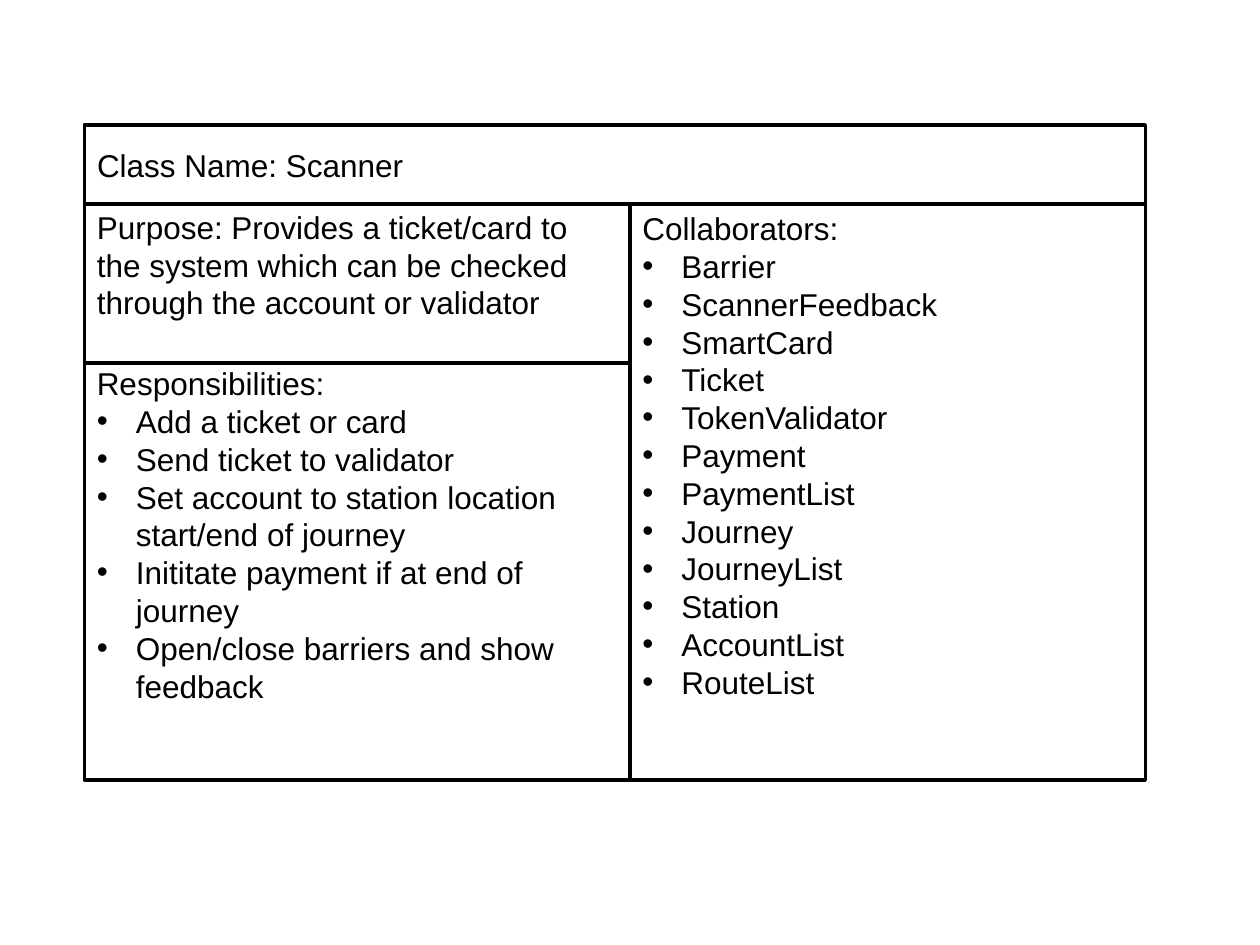
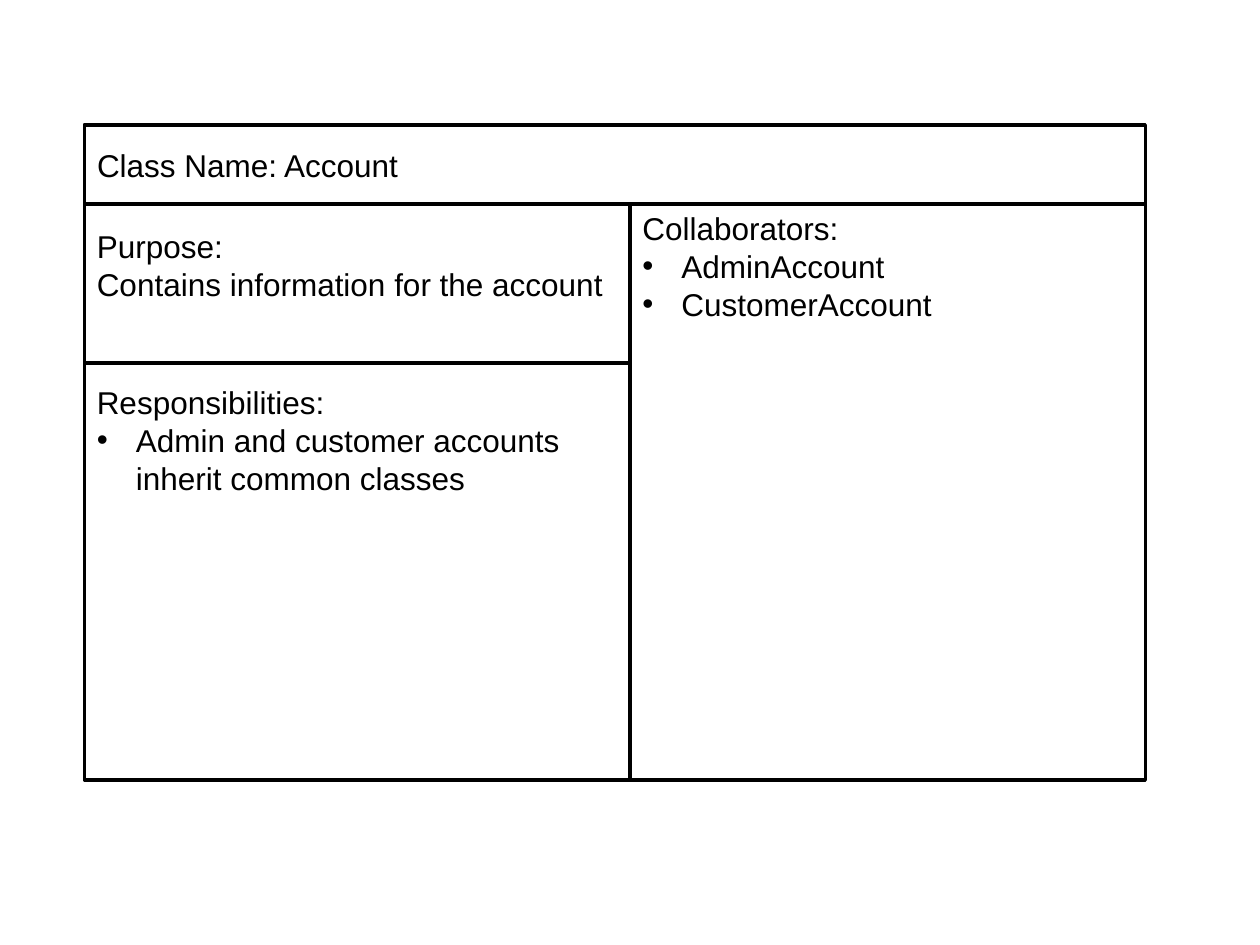
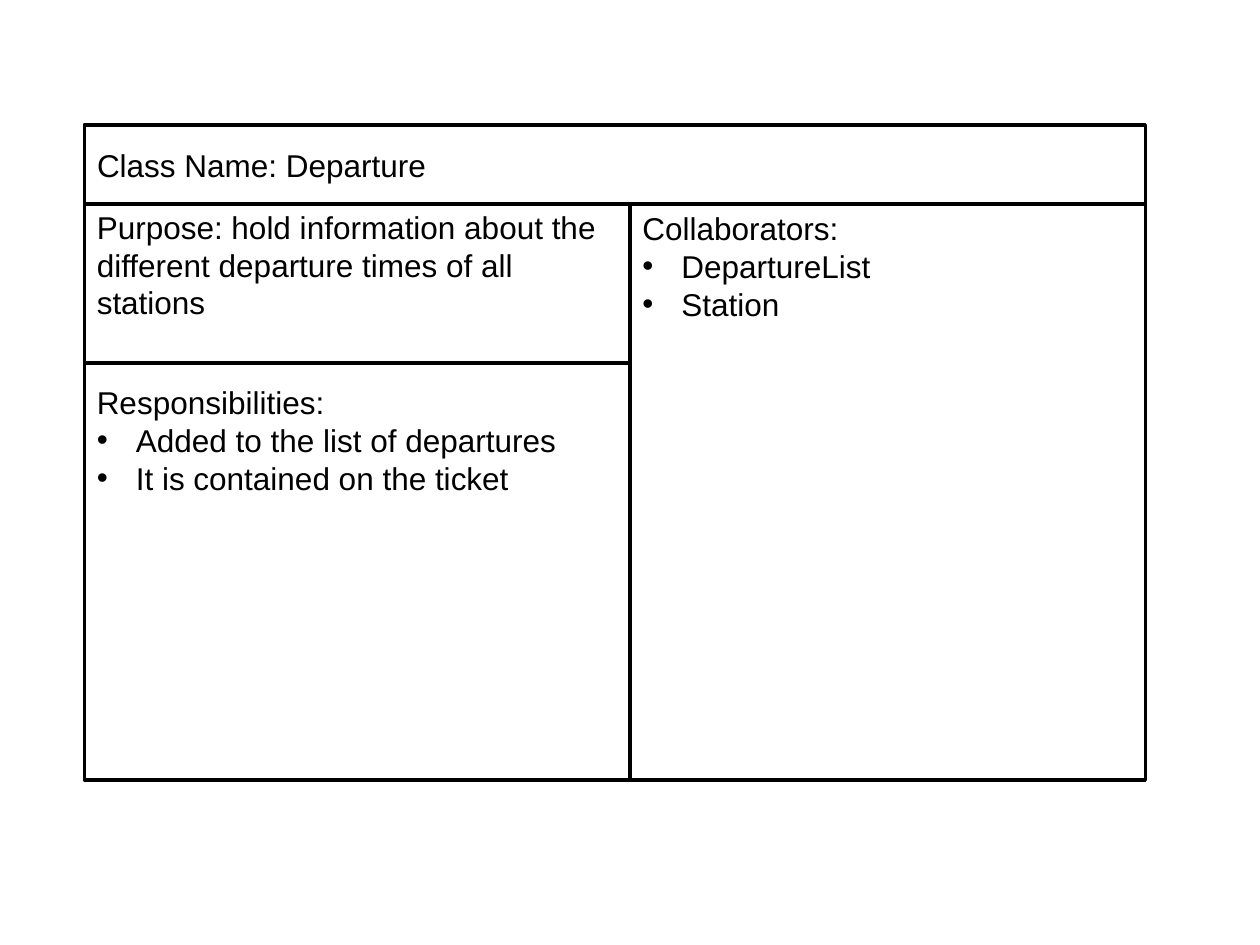
from dataclasses import dataclass

from lxml import etree
from pptx import Presentation
from pptx.dml.color import RGBColor
from pptx.enum import shapes, text
from pptx.oxml import ns
from pptx.util import Inches, Pt

FONT = "Arial"
TEXT_SIZE = Pt(18)
LINE_SPACING = Pt(21.6)
INK = "000000"
PAPER = "FFFFFF"
CARD_BOX = (0.67, 0.99, 8.42, 5.2)
NAME_HEIGHT = 0.63
PURPOSE_HEIGHT = 1.26
LEFT_WIDTH = 4.33
BULLET_INDENT = 0.31


@dataclass
class Card:
    name: str
    purpose: list
    responsibilities: list
    collaborators: list
    purpose_inset: float = 0.03
    responsibilities_inset: float = 0.16


CARDS = [
    Card(
        "Scanner",
        ["Purpose: Provides a ticket/card to the system which can be checked "
         "through the account or validator"],
        ["Add a ticket or card", "Send ticket to validator",
         "Set account to station location start/end of journey",
         "Inititate payment if at end of journey",
         "Open/close barriers and show feedback"],
        ["Barrier", "ScannerFeedback", "SmartCard", "Ticket", "TokenValidator",
         "Payment", "PaymentList", "Journey", "JourneyList", "Station",
         "AccountList", "RouteList"],
        responsibilities_inset=0.01,
    ),
    Card(
        "Account",
        ["Purpose:", "Contains information for the account"],
        ["Admin and customer accounts inherit common classes"],
        ["AdminAccount", "CustomerAccount"],
        purpose_inset=0.18,
    ),
    Card(
        "Departure",
        ["Purpose: hold information about the different departure times of all stations"],
        ["Added to the list of departures", "It is contained on the ticket"],
        ["DepartureList", "Station"],
    ),
]


def color(value):
    return RGBColor.from_string(value)


def add_bullet(paragraph):
    properties = paragraph._p.get_or_add_pPr()
    properties.set("marL", str(Inches(BULLET_INDENT)))
    properties.set("indent", str(-Inches(BULLET_INDENT)))
    bullet_color = etree.SubElement(properties, ns.qn("a:buClr"))
    etree.SubElement(bullet_color, ns.qn("a:srgbClr"), val=INK)
    etree.SubElement(properties, ns.qn("a:buFont"), typeface=FONT)
    etree.SubElement(properties, ns.qn("a:buChar"), char="•")


def format_cell(shape, lines, bullets=(), top_inset=0.05, anchor=text.MSO_ANCHOR.TOP):
    """Outline a cell and fill it with plain lines followed by bullets."""
    shape.fill.solid()
    shape.fill.fore_color.rgb = color(PAPER)
    shape.line.color.rgb = color(INK)
    shape.line.width = Pt(2)

    frame = shape.text_frame
    frame.word_wrap = True
    frame.auto_size = text.MSO_AUTO_SIZE.NONE
    frame.vertical_anchor = anchor
    frame.margin_left = frame.margin_right = Inches(0.1)
    frame.margin_top = Inches(top_inset)
    frame.margin_bottom = Inches(0 if anchor == text.MSO_ANCHOR.TOP else 0.05)
    frame.text = "\n".join([*lines, *bullets])
    for index, paragraph in enumerate(frame.paragraphs):
        if index >= len(lines):
            add_bullet(paragraph)
        paragraph.alignment = text.PP_ALIGN.LEFT
        paragraph.line_spacing = LINE_SPACING
        paragraph.font.name = FONT
        paragraph.font.size = TEXT_SIZE
        paragraph.font.color.rgb = color(INK)


def add_cell(slide, box, lines, bullets, top_inset):
    shape = slide.shapes.add_shape(shapes.MSO_SHAPE.RECTANGLE, *map(Inches, box))
    shape.shadow.inherit = False
    format_cell(shape, lines, bullets, top_inset)


def place_class_name(title, box, name):
    title.left, title.top, title.width, title.height = map(Inches, box)
    format_cell(title, [f"Class Name: {name}"], anchor=text.MSO_ANCHOR.MIDDLE)


def add_card(slide, box, card):
    left, top, width, height = box
    body_top = top + NAME_HEIGHT
    body_height = height - NAME_HEIGHT
    place_class_name(slide.shapes.title, (left, top, width, NAME_HEIGHT), card.name)
    add_cell(slide, (left, body_top, LEFT_WIDTH, PURPOSE_HEIGHT),
             card.purpose, [], card.purpose_inset)
    add_cell(slide, (left, body_top + PURPOSE_HEIGHT, LEFT_WIDTH, body_height - PURPOSE_HEIGHT),
             ["Responsibilities:"], card.responsibilities, card.responsibilities_inset)
    add_cell(slide, (left + LEFT_WIDTH, body_top, width - LEFT_WIDTH, body_height),
             ["Collaborators:"], card.collaborators, 0.04)


def main():
    presentation = Presentation()
    presentation.slide_width = Inches(10)
    presentation.slide_height = Inches(7.5)
    title_only = presentation.slide_layouts.get_by_name("Title Only")
    for card in CARDS:
        add_card(presentation.slides.add_slide(title_only), CARD_BOX, card)
    presentation.save("out.pptx")


if __name__ == "__main__":
    main()
